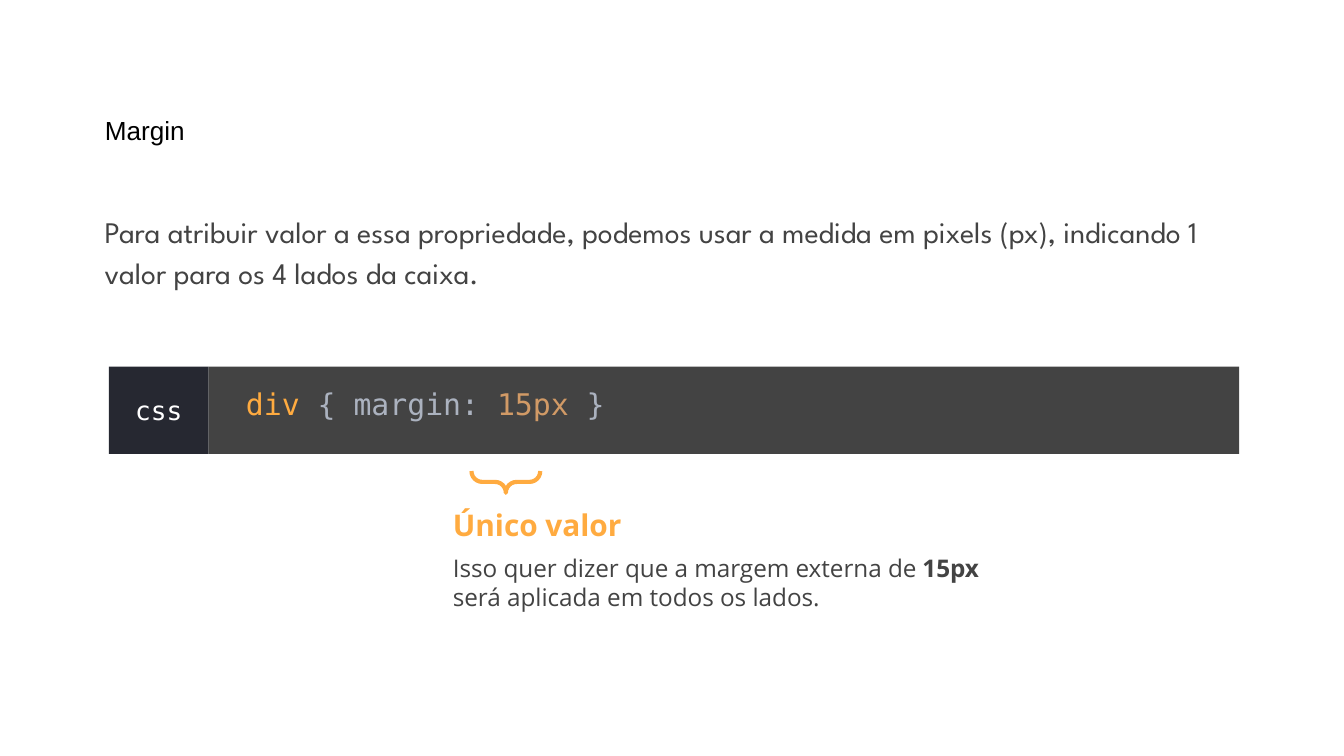
from pptx import Presentation
from pptx.dml.color import RGBColor
from pptx.enum.shapes import MSO_SHAPE
from pptx.enum.text import MSO_ANCHOR, MSO_AUTO_SIZE, PP_ALIGN
from pptx.util import Cm, Pt

ORANGE, GRAY, NAVY = "FFAB40", "434343", "262831"
SILVER, TAN, WHITE, BLACK = "ABB2BF", "D19A66", "FFFFFF", "000000"
MONO, BODY, NOTE = "DejaVu Sans Mono", "League Spartan", "Open Sans"

TITLE = "Margin"
INTRO = ("Para atribuir valor a essa propriedade, podemos usar a medida em pixels (px), "
         "indicando 1 valor para os 4 lados da caixa.")
LANGUAGE = "css"
CODE = [("div ", ORANGE), ("{ margin: ", SILVER), ("15px", TAN), (" }", SILVER)]
NOTE_TITLE = "Único valor"
NOTE_TEXT = [("Isso quer dizer que a margem externa de ", False), ("15px", True),
             ("\v", False), ("será aplicada em todos os lados.", False)]

LEFT, WIDTH = 1.73, 21.65
BAR_LEFT, BAR_TOP, BAR_WIDTH, BAR_HEIGHT = 2.06, 6.93, 21.36, 1.65
TAG_WIDTH = 1.88
BRACE_CENTER, BRACE_MIDDLE, BRACE_SPAN, BRACE_DEPTH = 9.56, 9.11, 1.3, 0.41


def color(value):
    return RGBColor.from_string(value)


def prepare(frame, anchor=MSO_ANCHOR.TOP, left=0.25, top=0.25):
    frame.word_wrap = True
    frame.auto_size = MSO_AUTO_SIZE.NONE
    frame.vertical_anchor = anchor
    frame.margin_left, frame.margin_top = Cm(left), Cm(top)
    frame.margin_right = frame.margin_bottom = Cm(0.25)
    return frame


def style(para, name, size, shade=None, bold=None, align=PP_ALIGN.LEFT):
    para.alignment = align
    para.font.name, para.font.size, para.font.bold = name, Pt(size), bold
    if shade:
        para.font.color.rgb = color(shade)


def add_text(shapes, left, top, width, height):
    box = shapes.add_textbox(Cm(left), Cm(top), Cm(width), Cm(height))
    return prepare(box.text_frame)


def add_panel(shapes, left, width, fill):
    panel = shapes.add_shape(MSO_SHAPE.RECTANGLE, Cm(left), Cm(BAR_TOP), Cm(width), Cm(BAR_HEIGHT))
    panel.shadow.inherit = False
    panel.fill.solid()
    panel.fill.fore_color.rgb = color(fill)
    panel.line.fill.background()
    return panel.text_frame


deck = Presentation()
deck.slide_width, deck.slide_height = Cm(25.4), Cm(14.29)
page = deck.slides.add_slide(deck.slide_layouts[5])

title = page.shapes.title
title.left, title.top, title.width, title.height = Cm(LEFT), Cm(1.65), Cm(WIDTH), Cm(1.6)
prepare(title.text_frame, MSO_ANCHOR.MIDDLE).text = TITLE
style(title.text_frame.paragraphs[0], "Arial", 14, BLACK)

intro = add_text(page.shapes, LEFT, 3.68, WIDTH, 3.45)
intro.text = INTRO
intro.paragraphs[0].line_spacing = 1.15
style(intro.paragraphs[0], BODY, 16, GRAY)

bar = page.shapes.add_group_shape()
code = add_panel(bar.shapes, BAR_LEFT + TAG_WIDTH, BAR_WIDTH - TAG_WIDTH, GRAY)
prepare(code, MSO_ANCHOR.MIDDLE, left=0.71, top=0)
para = code.paragraphs[0]
style(para, MONO, 16)
for text, shade in CODE:
    span = para.add_run()
    span.text = text
    span.font.color.rgb = color(shade)

tag = prepare(add_panel(bar.shapes, BAR_LEFT, TAG_WIDTH, NAVY), MSO_ANCHOR.MIDDLE)
tag.text = LANGUAGE
style(tag.paragraphs[0], MONO, 14, WHITE, align=PP_ALIGN.CENTER)

brace = page.shapes.add_shape(
    MSO_SHAPE.RIGHT_BRACE,
    Cm(BRACE_CENTER - BRACE_DEPTH / 2), Cm(BRACE_MIDDLE - BRACE_SPAN / 2),
    Cm(BRACE_DEPTH), Cm(BRACE_SPAN))
brace.rotation = 90
brace.adjustments[0] = brace.adjustments[1] = 0.5
brace.shadow.inherit = False
brace.fill.background()
brace.line.color.rgb = color(ORANGE)
brace.line.width = Pt(2.25)

note = add_text(page.shapes, 8.31, 9.32, 11.38, 3.66)
note.text = NOTE_TITLE
style(note.paragraphs[0], NOTE, 16, ORANGE, bold=True)
para = note.add_paragraph()
para.space_before = Pt(6)
style(para, NOTE, 13, GRAY)
for text, bold in NOTE_TEXT:
    if text == "\v":
        para.add_line_break()
        continue
    span = para.add_run()
    span.text = text
    span.font.bold = bold

deck.save("out.pptx")
